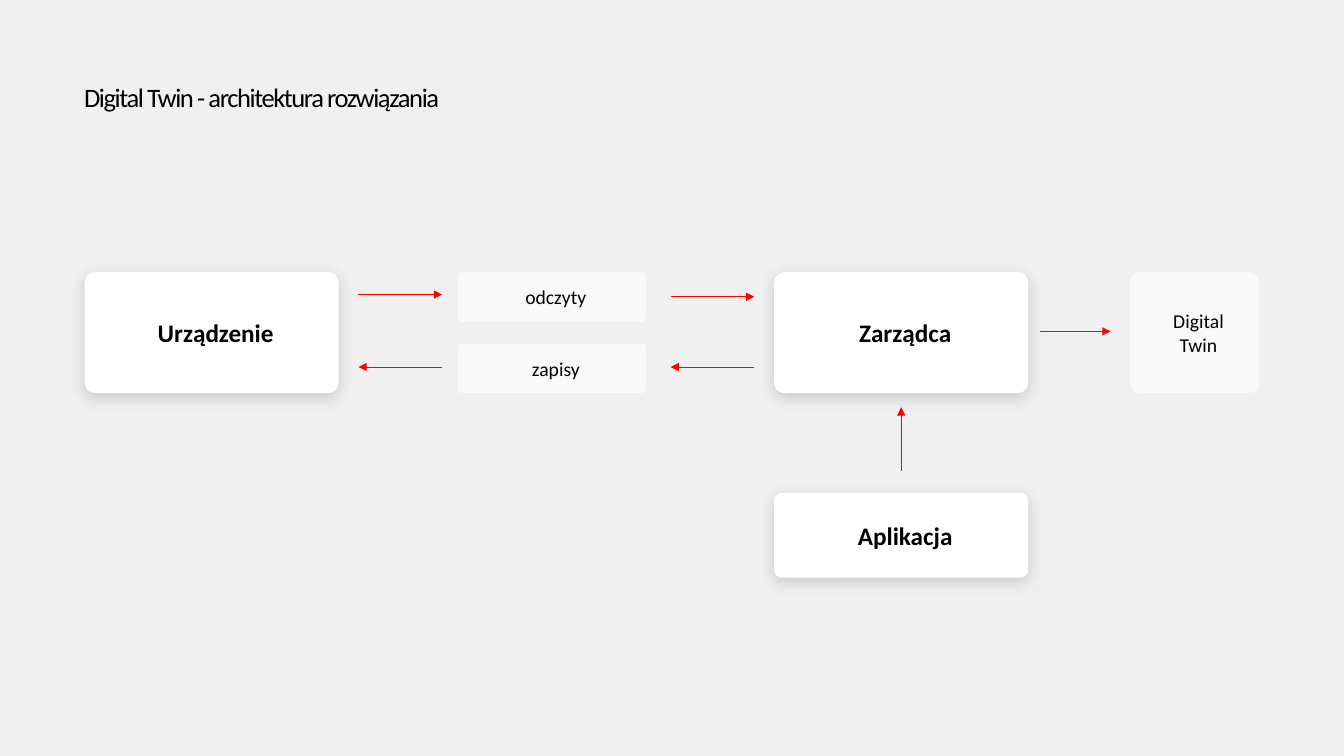
from dataclasses import dataclass

from lxml import etree
from pptx import Presentation
from pptx.dml.color import RGBColor
from pptx.enum import shapes, text
from pptx.oxml import ns
from pptx.util import Pt


@dataclass(frozen=True)
class Theme:
    font: str = "Calibri"
    background: RGBColor = RGBColor(0xF0, 0xF0, 0xF0)
    ink: RGBColor = RGBColor(0, 0, 0)
    card: RGBColor = RGBColor(0xFF, 0xFF, 0xFF)
    arrow: RGBColor = RGBColor(0xFF, 0, 0)
    title_size: int = 19
    card_size: int = 18
    label_size: int = 14


THEME = Theme()
ROW_TOP = 194.4
ROW_HEIGHT = 86.4
CARD_WIDTH = 181.4
DEVICE_LEFT = 60.5
MANAGER_LEFT = 553
CHANNEL_LEFT = 326.9
CHANNEL_WIDTH = 134.6
CHANNEL_HEIGHT = 35.3
APP_TOP = 352.1


def add_child(parent, tag, **attributes):
    return etree.SubElement(parent, ns.qn(tag), attributes)


def format_run(run, size, bold=False):
    run.font.name = THEME.font
    run.font.size = Pt(size)
    run.font.bold = bold
    run.font.color.rgb = THEME.ink


def set_title(slide, wording):
    title = slide.shapes.title
    title.left, title.top, title.width, title.height = Pt(60), Pt(57.6), Pt(727.2), Pt(46.8)
    frame = title.text_frame
    frame.text = wording
    frame.auto_size = text.MSO_AUTO_SIZE.NONE
    frame.vertical_anchor = text.MSO_ANCHOR.TOP
    frame.margin_left = frame.margin_top = frame.margin_right = frame.margin_bottom = 0
    paragraph = frame.paragraphs[0]
    paragraph.alignment = text.PP_ALIGN.LEFT
    run = paragraph.runs[0]
    format_run(run, THEME.title_size)
    run.font._element.set("spc", "-100")


def add_box(slide, wording, left, top, width, height, size, bold=False):
    shape = slide.shapes.add_shape(
        shapes.MSO_SHAPE.ROUNDED_RECTANGLE, Pt(left), Pt(top), Pt(width), Pt(height))
    shape.adjustments[0] = 0.085
    shape.fill.solid()
    shape.fill.fore_color.rgb = THEME.card
    shape.line.fill.background()
    shape.shadow.inherit = False
    frame = shape.text_frame
    frame.text = wording
    frame.word_wrap = True
    frame.vertical_anchor = text.MSO_ANCHOR.MIDDLE
    frame.margin_left = Pt(20.2)
    frame.margin_top = frame.margin_right = frame.margin_bottom = Pt(14.4)
    paragraph = frame.paragraphs[0]
    paragraph.alignment = text.PP_ALIGN.CENTER
    paragraph.space_after = Pt(6)
    format_run(paragraph.runs[0], size, bold)
    return shape


def add_card(slide, wording, left, top, height):
    shape = add_box(slide, wording, left, top, CARD_WIDTH, height, THEME.card_size, True)
    effects = shape._element.spPr.find(ns.qn("a:effectLst"))
    shadow = add_child(effects, "a:outerShdw", blurRad=str(Pt(12)), dist=str(Pt(3)),
                       dir="5400000", algn="ctr", rotWithShape="0")
    color = add_child(shadow, "a:srgbClr", val=str(THEME.ink))
    add_child(color, "a:alpha", val="16000")


def add_label(slide, wording, left, top, width, height):
    shape = add_box(slide, wording, left, top, width, height, THEME.label_size)
    color = shape._element.spPr.find(ns.qn("a:solidFill"))[0]
    add_child(color, "a:alpha", val="60000")


def add_arrow(slide, start_x, start_y, end_x, end_y):
    connector = slide.shapes.add_connector(
        shapes.MSO_CONNECTOR.STRAIGHT, Pt(start_x), Pt(start_y), Pt(end_x), Pt(end_y))
    connector.line.color.rgb = THEME.arrow
    connector.line.width = Pt(0.75)
    properties = connector._element.spPr
    add_child(properties.find(ns.qn("a:ln")), "a:tailEnd", type="triangle")
    add_child(properties, "a:effectLst")


def main():
    presentation = Presentation()
    presentation.slide_width, presentation.slide_height = Pt(960), Pt(540)
    slide = presentation.slides.add_slide(presentation.slide_layouts[5])
    slide.background.fill.solid()
    slide.background.fill.fore_color.rgb = THEME.background

    set_title(slide, "Digital Twin - architektura rozwiązania")
    add_card(slide, "Urządzenie", DEVICE_LEFT, ROW_TOP, ROW_HEIGHT)
    add_card(slide, "Zarządca", MANAGER_LEFT, ROW_TOP, ROW_HEIGHT)
    add_card(slide, "Aplikacja", MANAGER_LEFT, APP_TOP, 60.5)

    channel_bottom = ROW_TOP + ROW_HEIGHT - CHANNEL_HEIGHT
    for wording, top in (("odczyty", ROW_TOP), ("zapisy", channel_bottom)):
        add_label(slide, wording, CHANNEL_LEFT, top, CHANNEL_WIDTH, CHANNEL_HEIGHT)
    add_label(slide, "Digital Twin", 807.1, ROW_TOP, 92.2, ROW_HEIGHT)

    for left, reading_y in ((256, 210.4), (479, 212)):
        right = left + 59.8
        add_arrow(slide, left, reading_y, right, reading_y)
        add_arrow(slide, right, 262.2, left, 262.2)
    manager_center = MANAGER_LEFT + CARD_WIDTH / 2
    add_arrow(slide, manager_center, 336.2, manager_center, 290.9)
    add_arrow(slide, 743, 236.7, 793.4, 236.7)

    presentation.save("out.pptx")


if __name__ == "__main__":
    main()
